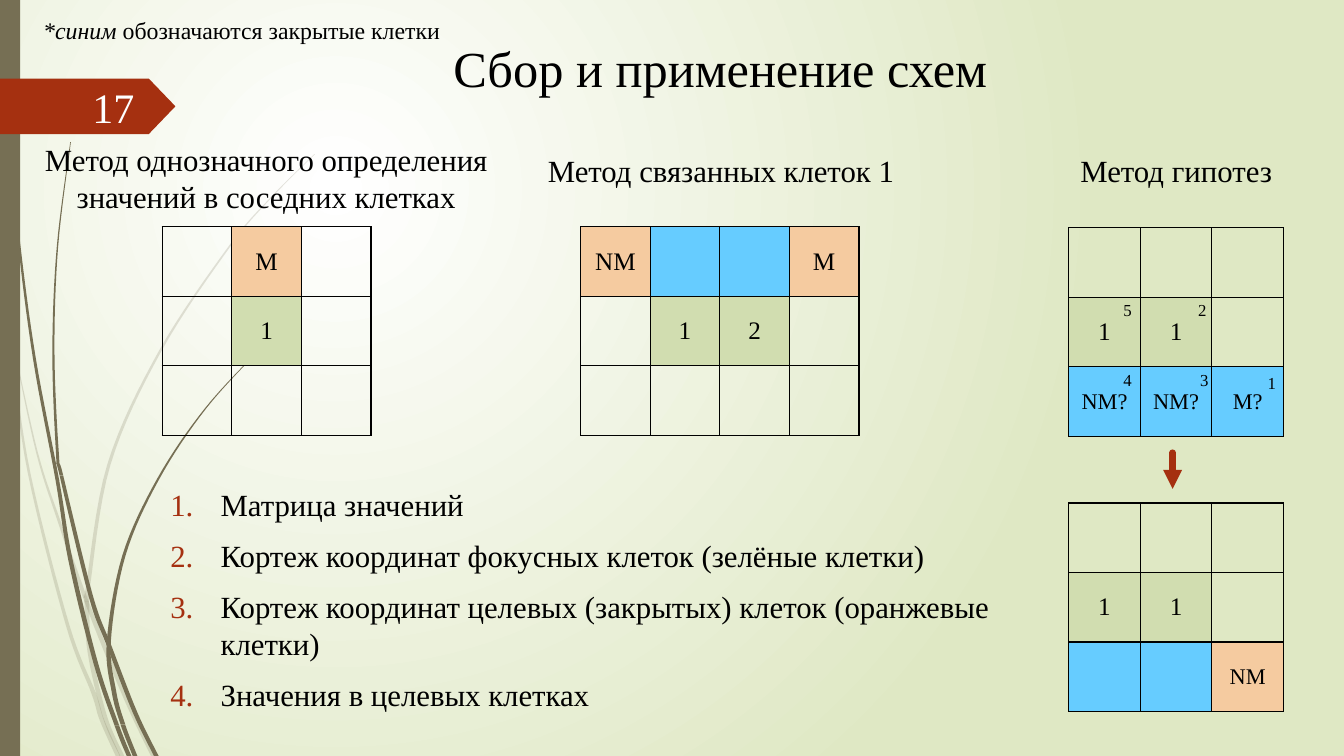
import pptx
import pptx.util
import pptx.dml.color
import pptx.enum.shapes
import pptx.enum.text
import pptx.oxml
import pptx.oxml.ns
from lxml import etree

Inches = pptx.util.Inches
Pt = pptx.util.Pt
ALIGN = pptx.enum.text.PP_ALIGN
ANCHOR = pptx.enum.text.MSO_ANCHOR
SHAPE = pptx.enum.shapes.MSO_SHAPE
qn = pptx.oxml.ns.qn


class Theme:
    font = "Times New Roman"
    ink, pale, leaf, red = "000000", "FEFFFF", "766F54", "A53010"
    white, lime = "FFFFFF", "DFE8C4"
    cells = {"o": "F5CBA0", "g": "D1DDB0", "b": "66CCFF"}
    title, page, body, cell, small, note, mark = 36, 30, 22, 18, 16, 17, 12


# Stems: heights of the joints, then centre points from tip to foot
FAINT = [
    ((3.5, 7.14), [(0, 2.9), (0.11, 3.5), (0.29, 4.7), (0.67, 6.2),
                   (0.93, 6.88), (1.01, 7.14), (1.17, 7.5)]),
    ((5.97,), [(0.14, 3.45), (0.37, 4.5), (0.6, 5.21), (0.86, 5.97),
               (1.25, 6.93), (1.52, 7.5)]),
    ((5.92, 7.11), [(3.12, 1.53), (2.68, 1.97), (2.28, 2.44), (1.59, 3.48),
                    (1.08, 4.61), (0.87, 5.84), (0.86, 5.92), (0.89, 6.46),
                    (1.04, 7.11), (1.21, 7.5)]),
]
SOLID = [
    ((4.77, 7.2), [(0.03, 0), (0.07, 1.1), (0.18, 2.33), (0.34, 3.55), (0.57, 4.77),
                   (0.7, 5.56), (0.95, 6.58), (1.16, 7.2), (1.28, 7.5)]),
    ((4.72, 6.4), [(0.7, 1.41), (0.57, 2.45), (0.53, 3.49), (0.57, 4.5), (0.61, 4.72),
                   (0.9, 5.91), (1.08, 6.4), (1.34, 7.07), (1.55, 7.5)]),
    ((6.36, 7.19), [(2.6, 3.44), (2.04, 4.05), (1.57, 4.75), (1.23, 5.51),
                    (1.08, 6.36), (1.13, 6.86), (1.22, 7.19), (1.34, 7.5)]),
]


def color(code):
    return pptx.dml.color.RGBColor.from_string(code)


def paint(shape, code):
    shape.shadow.inherit = False
    shape.fill.solid()
    shape.fill.fore_color.rgb = color(code)
    shape.line.fill.background()


def style(para, size, code=Theme.ink, align=ALIGN.CENTER, gap=0):
    para.alignment = align
    para.space_before = Pt(gap)
    para.font.name = Theme.font
    para.font.size = Pt(size)
    para.font.color.rgb = color(code)


def label(slide, box, words, size, side=0.1, anchor=ANCHOR.TOP, **look):
    frame = slide.shapes.add_textbox(*map(Inches, box)).text_frame
    frame.word_wrap = True
    frame.margin_left = frame.margin_right = Inches(side)
    frame.vertical_anchor = anchor
    para = frame.paragraphs[0]
    para.text = words
    style(para, size, **look)
    return para


def backdrop(slide):
    fill = slide.background.fill
    fill.gradient()
    for stop, code, place in zip(fill.gradient_stops, (Theme.white, Theme.lime), (0, 1)):
        stop.color.rgb = color(code)
        stop.position = place
    grad = slide.background._cSld.find(".//" + qn("a:gradFill"))
    grad.remove(grad.find(qn("a:lin")))
    ring = etree.SubElement(grad, qn("a:path"), {"path": "circle"})
    etree.SubElement(ring, qn("a:fillToRect"),
                     {"l": "50000", "t": "50000", "r": "100000", "b": "100000"})


def smooth(knots, steps=8):
    """Catmull-Rom curve through the knots."""
    ends = [knots[0], *knots, knots[-1]]
    curve = []
    for a, b, c, d in zip(ends, ends[1:], ends[2:], ends[3:]):
        for i in range(steps):
            t = i / steps
            curve.append(tuple(
                (2 * q + (r - p) * t + (2 * p - 5 * q + 4 * r - s) * t ** 2
                 + (3 * q - p - 3 * r + s) * t ** 3) / 2
                for p, q, r, s in zip(a, b, c, d)))
    return curve + [knots[-1]]


def stem(slide, joints, knots, faint):
    curve = smooth(knots)
    last = len(curve) - 1
    half = [0.003 + 0.02 * min(1, 1.5 * i / last) for i in range(last + 1)]
    cuts = [next(i for i, (x, y) in enumerate(curve) if y > joint - 0.005)
            for joint in joints]
    for start, stop in zip([0, *cuts], [*cuts, last]):
        part = list(zip(curve, half))[start:stop + 1]
        left = [(max(0, x - h), y) for (x, y), h in part]
        right = [(x + h, y) for (x, y), h in part]
        edge = [(Inches(x), Inches(y)) for x, y in left + right[::-1]]
        pen = slide.shapes.build_freeform(*edge[0], scale=1.0)
        pen.add_line_segments(edge[1:], close=True)
        shape = pen.convert_to_shape()
        paint(shape, Theme.leaf)
        if faint:
            tint = shape.fill._xPr.find(".//" + qn("a:srgbClr"))
            etree.SubElement(tint, qn("a:alpha"), {"val": "20000"})


def margin(slide, box):
    for group, faint in ((FAINT, True), (SOLID, False)):
        for joints, knots in group:
            stem(slide, joints, knots, faint)
    x, y, w, h = box
    paint(slide.shapes.add_shape(SHAPE.RECTANGLE, *map(Inches, box)), Theme.leaf)
    flag = slide.shapes.add_shape(
        SHAPE.PENTAGON, *map(Inches, (x, y + 0.78, 1.74, 0.55)))
    flag.adjustments[0] = 0.48
    paint(flag, Theme.red)
    label(slide, (x + 0.58, y + 0.86, 0.85, 0.4), "17", Theme.page,
          anchor=ANCHOR.MIDDLE, code=Theme.pale, align=ALIGN.RIGHT)


def border(cell):
    props = cell._tc.get_or_add_tcPr()
    for side in ("lnL", "lnR", "lnT", "lnB"):
        line = etree.SubElement(props, qn("a:" + side), {"w": "12700"})
        solid = etree.SubElement(line, qn("a:solidFill"))
        etree.SubElement(solid, qn("a:srgbClr"), {"val": Theme.ink})


def grid(slide, box, rows, word=Theme.cell):
    """Cells read 'colour:text'; letters take the size given as word."""
    table = slide.shapes.add_table(
        len(rows), len(rows[0]), *map(Inches, box)).table
    table.first_row = table.horz_banding = False
    for r, row in enumerate(rows):
        for c, entry in enumerate(row):
            key, _, words = entry.partition(":")
            cell = table.cell(r, c)
            border(cell)
            if key:
                cell.fill.solid()
                cell.fill.fore_color.rgb = color(Theme.cells[key])
            else:
                cell.fill.background()
            cell.vertical_anchor = ANCHOR.MIDDLE
            para = cell.text_frame.paragraphs[0]
            para.text = words
            style(para, Theme.cell if words.isdigit() else word)


def guess(slide, box):
    """Hypothesis grid, its step marks, the arrow and the outcome."""
    x, y, w, h = box
    grid(slide, box, [["", "", ""], ["g:1", "g:1", ""],
                      ["b:NM?", "b:NM?", "b:M?"]], Theme.small)
    marks = {"5": (0.45, 0.66), "2": (1.19, 0.66), "4": (0.45, 1.36),
             "3": (1.21, 1.36), "1": (1.88, 1.39)}
    for digit, (dx, dy) in marks.items():
        label(slide, (x + dx, y + dy, 0.27, 0.33), digit, Theme.mark, side=0, gap=10)
    mid = Inches(x + 1.03)
    arrow = slide.shapes.add_connector(
        pptx.enum.shapes.MSO_CONNECTOR.STRAIGHT,
        mid, Inches(y + h + 0.16), mid, Inches(y + h + 0.52))
    arrow.line.color.rgb = color(Theme.red)
    arrow.line.width = Pt(4.5)
    line = arrow.line._get_or_add_ln()
    line.set("cap", "rnd")
    etree.SubElement(line, qn("a:tailEnd"), {"type": "triangle"})
    etree.SubElement(arrow._element.spPr, qn("a:effectLst"))
    grid(slide, (x, y + 2.73, w, h), [["", "", ""], ["g:1", "g:1", ""],
                                      ["b:", "b:", "o:NM"]], Theme.small)


def steps(slide, box, items):
    frame = slide.shapes.add_textbox(*map(Inches, box)).text_frame
    frame.word_wrap = True
    for i, words in enumerate(items):
        para = frame.add_paragraph() if i else frame.paragraphs[0]
        para.text = words
        props = para._p.get_or_add_pPr()
        props.set("marL", str(Inches(0.5)))
        props.set("indent", str(-Inches(0.5)))
        tint = etree.SubElement(props, qn("a:buClr"))
        etree.SubElement(tint, qn("a:srgbClr"), {"val": Theme.red})
        etree.SubElement(props, qn("a:buAutoNum"), {"type": "arabicPeriod"})
        style(para, Theme.body, align=ALIGN.LEFT, gap=10)


def main():
    deck = pptx.Presentation()
    deck.slide_width, deck.slide_height = Inches(13.33), Inches(7.5)
    slide = deck.slides.add_slide(deck.slide_layouts[6])
    backdrop(slide)
    margin(slide, (0, 0, 0.2, 7.5))

    # Headings
    label(slide, (1.43, 0.32, 11.43, 0.91), "Сбор и применение схем", Theme.title)
    note = label(slide, (0.33, 0.11, 4.62, 0.6), "*синим ", Theme.note, align=ALIGN.LEFT)
    note.runs[0].font.italic = True
    note.add_run().text = "обозначаются закрытые клетки"
    for box, words in (
            ((0.05, 1.35, 5.18, 0.95),
             "Метод однозначного определения значений в соседних клетках"),
            ((4.56, 1.46, 5.18, 0.62), "Метод связанных клеток 1"),
            ((9.77, 1.46, 3.79, 0.62), "Метод гипотез")):
        label(slide, box, words, Theme.body, gap=10)

    # Schemes
    grid(slide, (1.61, 2.25, 2.07, 2.07),
         [["", "o:M", ""], ["", "g:1", ""], ["", "", ""]])
    grid(slide, (5.76, 2.25, 2.76, 2.07),
         [["o:NM", "b:", "b:", "o:M"], ["", "g:1", "g:2", ""], ["", "", "", ""]])
    guess(slide, (10.6, 2.26, 2.13, 2.07))

    # What a scheme holds
    steps(slide, (1.59, 4.77, 8.35, 2.39), [
        "Матрица значений",
        "Кортеж координат фокусных клеток (зелёные клетки)",
        "Кортеж координат целевых (закрытых) клеток (оранжевые клетки)",
        "Значения в целевых клетках"])
    deck.save("out.pptx")


if __name__ == "__main__":
    main()
